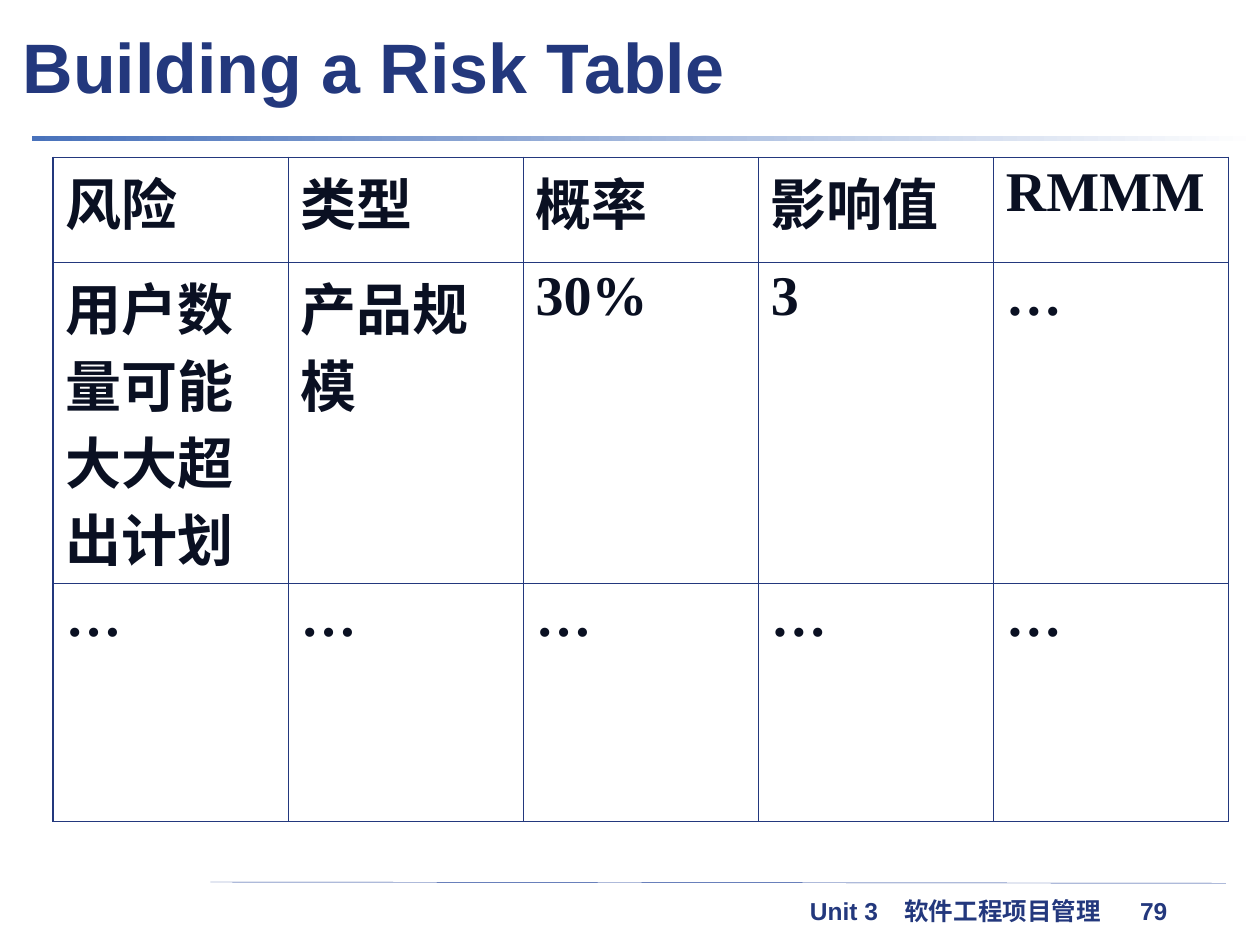
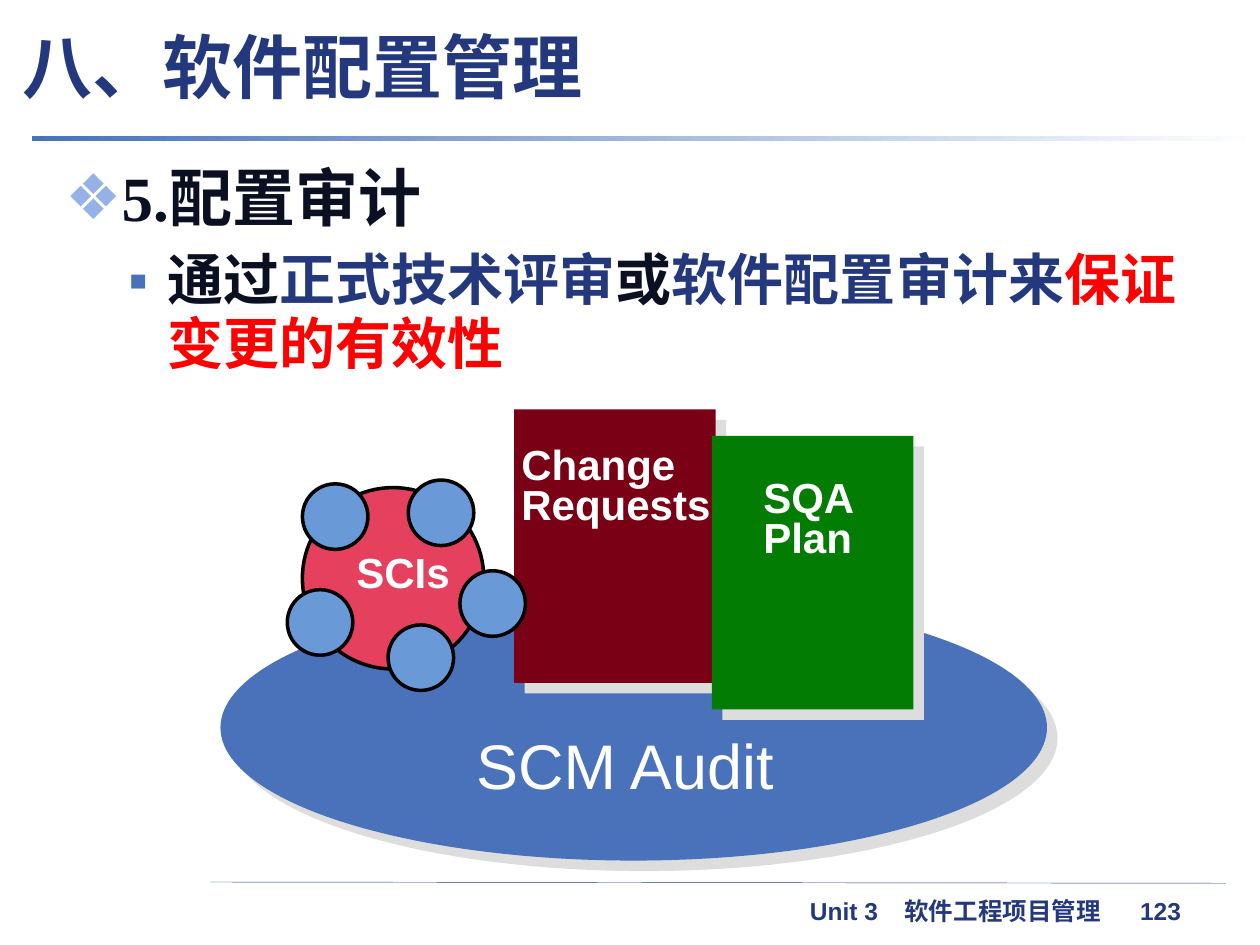
from lxml import etree
from pptx import Presentation
from pptx.dml.color import RGBColor
from pptx.enum.shapes import MSO_CONNECTOR, MSO_SHAPE
from pptx.enum.text import MSO_ANCHOR, MSO_AUTO_SIZE, PP_ALIGN
from pptx.oxml.ns import qn
from pptx.util import Inches, Pt

OVAL, RECT = MSO_SHAPE.OVAL, MSO_SHAPE.RECTANGLE
LINE = MSO_CONNECTOR.STRAIGHT
LEFT, MIDDLE, TOP = PP_ALIGN.LEFT, MSO_ANCHOR.MIDDLE, MSO_ANCHOR.TOP
FIXED, GROW = MSO_AUTO_SIZE.NONE, MSO_AUTO_SIZE.SHAPE_TO_FIT_TEXT

NAVY, INK, BLUE, SKY = "23387D", "0A1022", "4972BB", "6A99D8"
RED, WHITE, BLACK, GREY = "FF0000", "FFFFFF", "000000", "DDDDDD"
SANS, SERIF, HAN = "Arial", "Times New Roman", "Noto Sans CJK SC"

FOOT = "Unit 3\t软件工程项目管理\t{}"
TABS = (0.75, 2.62)

RISKS = [
    ["风险", "类型", "概率", "影响值", "RMMM"],
    ["用户数量可能大大超出计划", "产品规模", "30%", "3", "…"],
    ["…"] * 5,
]
TALL = (0.83, 2.55, 1.89)
WIDE = 9.33

AUDIT = [
    {"runs": [("5.配置审计", INK)], "size": 36, "mark": "❖",
     "tint": "96B1E6", "left": 0.38, "hang": 0.38, "gap": 0},
    {"runs": [("通过", INK), ("正式技术评审", NAVY), ("或", INK),
              ("软件配置审计来", NAVY), ("保证变更的有效性", RED)],
     "size": 32, "mark": "▪", "tint": BLUE,
     "left": 0.81, "hang": 0.31, "gap": 8},
]
BASES = [
    (OVAL, (1.75, 4.72, 6.56, 2.11), BLUE),
    (RECT, (4.08, 3.25, 1.6, 2.17), "790015"),
    (RECT, (5.65, 3.46, 1.6, 2.17), "037C03"),
]
CORE = (2.4, 3.87, 1.44, 1.44)
DOTS = [(3.08, 4.96), (3.65, 4.53), (3.24, 3.81), (2.4, 3.84), (2.28, 4.68)]
DOT = 0.52
LABELS = [
    (["SCIs"], (2.73, 4.29, 0.94, 0.5), 24, True, 1),
    (["Change", "Requests"], (4.04, 3.51, 1.7, 0.74), 24, True, 0.8),
    (["SQA", "Plan"], (5.96, 3.77, 0.92, 0.74), 24, True, 0.8),
    (["SCM Audit"], (3.68, 5.72, 2.59, 0.7), 36, False, 1),
]


def rgb(code):
    return RGBColor.from_string(code)


def place(box):
    return [Inches(n) for n in box]


def node(root, tag, **atts):
    return etree.SubElement(root, qn(tag), {k: str(v) for k, v in atts.items()})


def style(run, size, code, face, bold=True):
    font = run.font
    font.size, font.bold = Pt(size), bold
    font.color.rgb = rgb(code)
    font.name = face
    node(run._r.get_or_add_rPr(), "a:ea", typeface=HAN)


def solid(shapes, kind, box, code, edge=None):
    item = shapes.add_shape(kind, *place(box))
    item.shadow.inherit = False
    item.fill.solid()
    item.fill.fore_color.rgb = rgb(code)
    if edge:
        item.line.color.rgb = rgb(edge)
        item.line.width = Pt(2)
    else:
        item.line.fill.background()
    return item


def shade(item):
    glow = item._element.spPr.find(qn("a:effectLst"))
    drop = node(glow, "a:outerShdw", blurRad=0, dist=Pt(8.5),
                dir=45 * 60000, algn="ctr", rotWithShape=0)
    node(drop, "a:srgbClr", val=GREY)


def label(shapes, lines, box, size, bold, pitch):
    frame = shapes.add_textbox(*place(box)).text_frame
    frame.word_wrap, frame.auto_size = False, GROW
    frame.text = "\n".join(lines)
    for para in frame.paragraphs:
        para.line_spacing = pitch
        style(para.runs[0], size, WHITE, SANS, bold)


def start(deck, title, face, page):
    slide = deck.slides.add_slide(deck.slide_layouts[5])
    shapes = slide.shapes

    rule = shapes.add_connector(LINE, *place((1.67, 7, 9.73, 7.01)))
    rule.line.color.rgb = rgb("1A3D97")
    rule.line.width = Pt(0.25)
    node(rule._element.spPr, "a:effectLst")

    foot = shapes.add_textbox(*place((6.33, 7.06, 3.5, 0.34))).text_frame
    foot.word_wrap = True
    para = foot.paragraphs[0]
    para.text = FOOT.format(page)
    stops = node(para._p.get_or_add_pPr(), "a:tabLst")
    for stop in TABS:
        node(stops, "a:tab", pos=Inches(stop), algn="l")
    style(para.runs[0], 14, NAVY, SANS)

    band = solid(shapes, RECT, (0.25, 1.08, 9.75, 0.04), BLUE)
    band.fill.gradient()
    band.fill.gradient_angle = 0
    for stop, code in zip(band.fill.gradient_stops, (BLUE, WHITE)):
        stop.color.rgb = rgb(code)

    head = shapes.title
    head.left, head.top, head.width, head.height = place((0.08, 0.12, 8.33, 0.8))
    frame = head.text_frame
    frame.text = title
    frame.word_wrap, frame.auto_size = True, FIXED
    frame.vertical_anchor = MIDDLE
    para = frame.paragraphs[0]
    para.alignment = LEFT
    style(para.runs[0], 40, NAVY, face)
    return shapes


def border(cell, outer):
    props = cell._tc.get_or_add_tcPr()
    for spot, (side, edge) in enumerate(zip("LRTB", outer)):
        line = node(props, "a:ln" + side, w=Pt(1.08 if edge else 0.45))
        node(node(line, "a:solidFill"), "a:srgbClr", val=NAVY)
        props.insert(spot, line)


def risks(deck):
    shapes = start(deck, "Building a Risk Table", SANS, 79)
    rows, cols = len(RISKS), len(RISKS[0])
    box = place((0.42, 1.25, WIDE, sum(TALL)))
    grid = shapes.add_table(rows, cols, *box).table
    grid.first_row = grid.horz_banding = False
    for col in grid.columns:
        col.width = Inches(WIDE / cols)
    for r, texts in enumerate(RISKS):
        grid.rows[r].height = Inches(TALL[r])
        for c, text in enumerate(texts):
            cell = grid.cell(r, c)
            cell.fill.background()
            cell.vertical_anchor = TOP
            border(cell, (c == 0, c == cols - 1, r == 0, r == rows - 1))
            para = cell.text_frame.paragraphs[0]
            para.text = text
            para.line_spacing = 0.95
            style(para.runs[0], 32, INK, SERIF)


def audit(deck):
    shapes = start(deck, "八、软件配置管理", HAN, 123)
    frame = shapes.add_textbox(*place((0.42, 1.25, 9.33, 1.8))).text_frame
    frame.word_wrap = True
    for i, item in enumerate(AUDIT):
        para = frame.add_paragraph() if i else frame.paragraphs[0]
        para.line_spacing, para.space_before = 0.95, Pt(item["gap"])
        props = para._p.get_or_add_pPr()
        props.set("marL", str(Inches(item["left"])))
        props.set("indent", str(-Inches(item["hang"])))
        node(node(props, "a:buClr"), "a:srgbClr", val=item["tint"])
        node(props, "a:buFont", typeface=SANS)
        node(props, "a:buChar", char=item["mark"])
        for text, code in item["runs"]:
            run = para.add_run()
            run.text = text
            style(run, item["size"], code, SERIF)

    parts = shapes.add_group_shape().shapes
    for kind, box, code in BASES:
        shade(solid(parts, kind, box, code))
    solid(parts, OVAL, CORE, "E5405D", BLACK)
    for left, top in DOTS:
        solid(parts, OVAL, (left, top, DOT, DOT), SKY, BLACK)
    for item in LABELS:
        label(parts, *item)


def main():
    deck = Presentation()
    deck.slide_width, deck.slide_height = Inches(10), Inches(7.5)
    risks(deck)
    audit(deck)
    deck.save("out.pptx")


if __name__ == "__main__":
    main()
